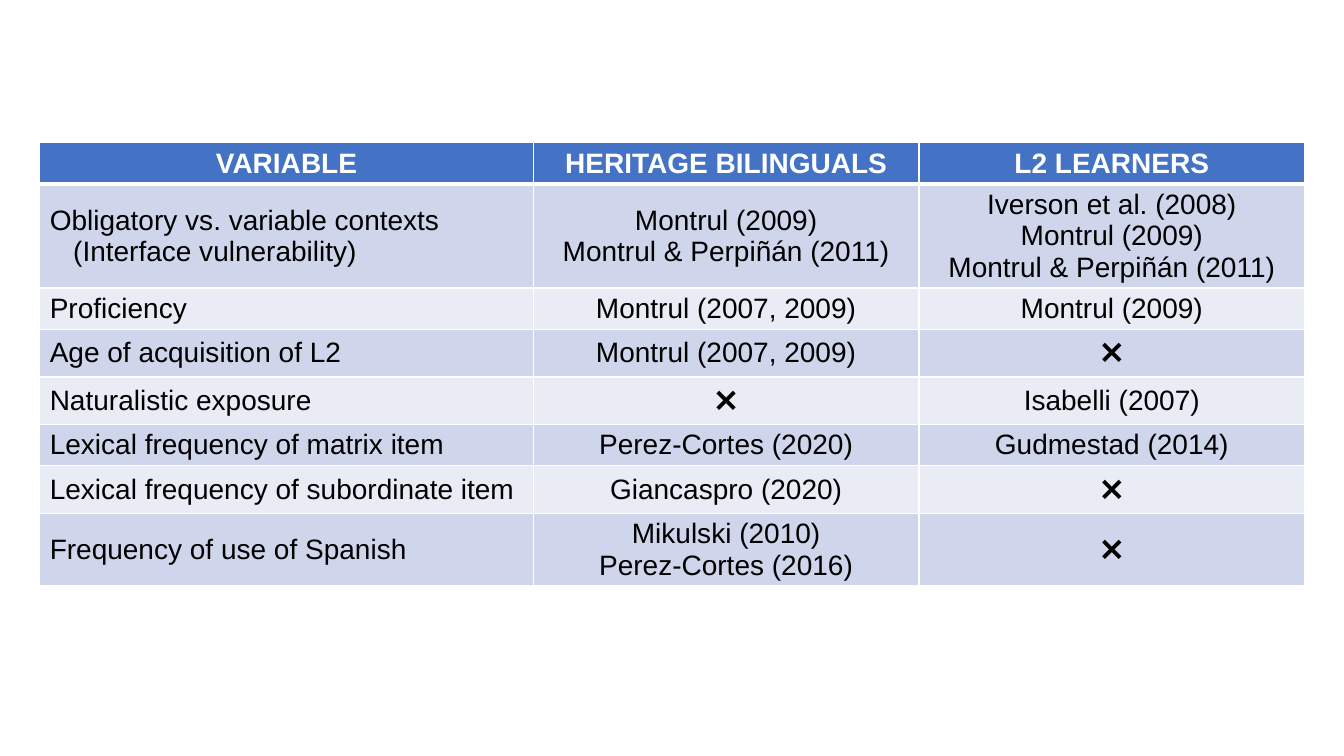
from lxml.etree import SubElement
from pptx import Presentation
from pptx.dml.color import RGBColor
from pptx.enum.text import MSO_ANCHOR, PP_ALIGN
from pptx.oxml.ns import qn
from pptx.util import Cm, Pt

COLORS = {"header": "4472C4", "odd": "CFD5EA", "even": "E9EBF5",
          "white": "FFFFFF", "black": "000000"}
CROSS = "❌"
ROWS = [
    ("VARIABLE", "HERITAGE BILINGUALS", "L2 LEARNERS"),
    ("Obligatory vs. variable contexts\n(Interface vulnerability)",
     "Montrul (2009)\nMontrul & Perpiñán (2011)",
     "Iverson et al. (2008)\nMontrul (2009)\nMontrul & Perpiñán (2011)"),
    ("Proficiency", "Montrul (2007, 2009)", "Montrul (2009)"),
    ("Age of acquisition of L2", "Montrul (2007, 2009)", CROSS),
    ("Naturalistic exposure", CROSS, "Isabelli (2007)"),
    ("Lexical frequency of matrix item", "Perez-Cortes (2020)", "Gudmestad (2014)"),
    ("Lexical frequency of subordinate item", "Giancaspro (2020)", CROSS),
    ("Frequency of use of Spanish", "Mikulski (2010)\nPerez-Cortes (2016)", CROSS),
]


class Deck:
    """Hold the table style and the current slide."""

    font, size, cross_size = "Arial", Pt(20), Pt(24)
    thin, thick = Pt(1), Pt(3)
    row_height, sub_indent = Cm(1.04), Cm(0.59)

    def __init__(self, prs):
        self.slide = prs.slides.add_slide(prs.slide_layouts[6])

    def table(self, left, top, widths, rows):
        frame = self.slide.shapes.add_table(
            len(rows), len(widths), left, top, sum(widths), self.row_height * len(rows))
        tbl = frame.table
        for column, width in zip(tbl.columns, widths):
            column.width = width
        for i, texts in enumerate(rows):
            for j, text in enumerate(texts):
                self.cell(tbl.cell(i, j), text, i, j)

    def cell(self, cell, text, row, col):
        header = row == 0
        self.borders(cell, self.thick if row == 1 else self.thin,
                     self.thick if header else self.thin)
        band = "header" if header else "odd" if row % 2 else "even"
        cell.fill.solid()
        cell.fill.fore_color.rgb = RGBColor.from_string(COLORS[band])
        cell.vertical_anchor = MSO_ANCHOR.MIDDLE
        cell.text = text
        for p in cell.text_frame.paragraphs:
            p.alignment = PP_ALIGN.CENTER if header or col else PP_ALIGN.LEFT
            p.font.name = self.font
            p.font.size = self.cross_size if text == CROSS else self.size
            p.font.bold = header
            p.font.color.rgb = RGBColor.from_string(COLORS["white" if header else "black"])
            if p.text.startswith("(") and col == 0:
                p._p.get_or_add_pPr().set("marL", str(self.sub_indent))

    def borders(self, cell, top, bottom):
        tc_pr = cell._tc.get_or_add_tcPr()
        sides = {"lnL": self.thin, "lnR": self.thin, "lnT": top, "lnB": bottom}
        for side, width in sides.items():
            ln = SubElement(tc_pr, qn(f"a:{side}"), w=str(width))
            fill = SubElement(ln, qn("a:solidFill"))
            SubElement(fill, qn("a:srgbClr"), val=COLORS["white"])


prs = Presentation()
prs.slide_width, prs.slide_height = Cm(33.87), Cm(19.05)
deck = Deck(prs)
deck.table(Cm(1), Cm(3.6), [Cm(12.44), Cm(9.72), Cm(9.72)], ROWS)
prs.save("out.pptx")
